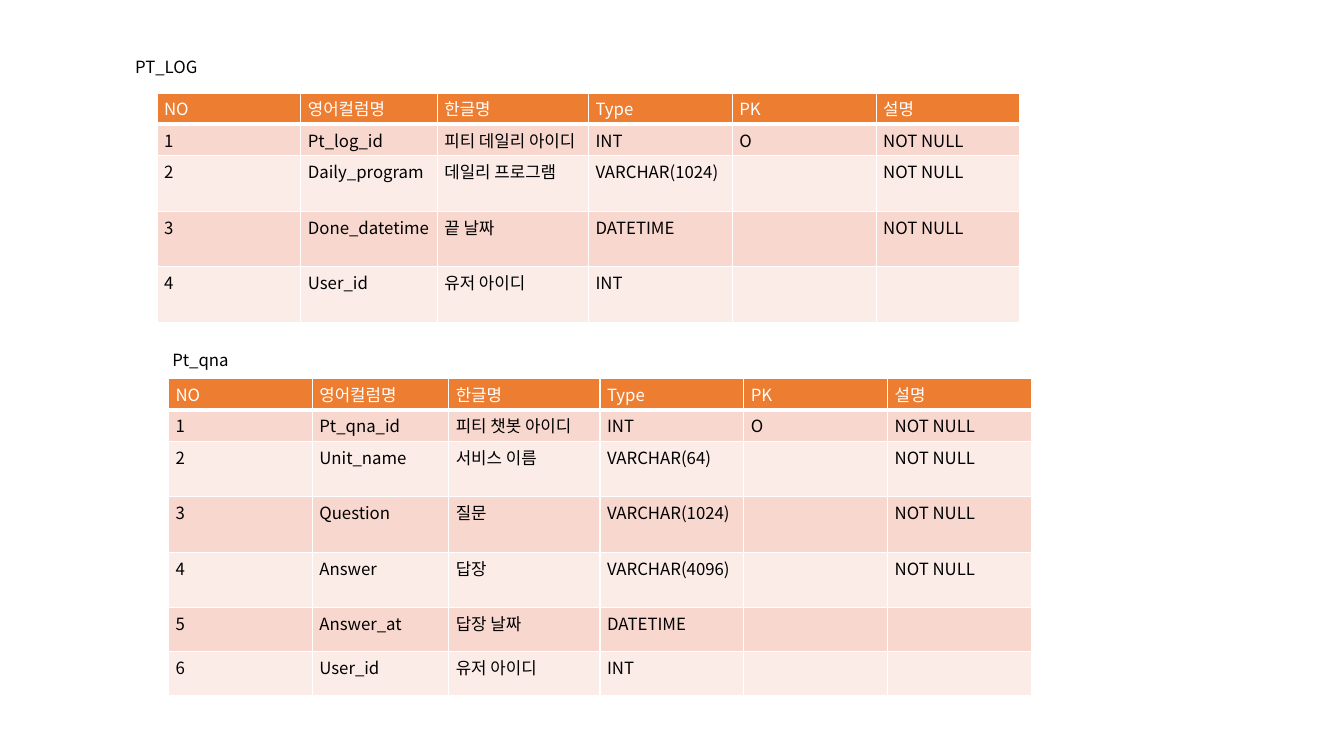
"""Build a slide that defines the columns of two database tables."""
from lxml import etree
from pptx import Presentation
from pptx.dml.color import RGBColor
from pptx.enum.text import MSO_ANCHOR, MSO_AUTO_SIZE, PP_ALIGN
from pptx.oxml.ns import qn
from pptx.util import Pt

LEFT = PP_ALIGN.LEFT
TOP = MSO_ANCHOR.TOP
GROW = MSO_AUTO_SIZE.SHAPE_TO_FIT_TEXT

HEADINGS = ["NO", "영어컬럼명", "한글명", "Type", "PK", "설명"]
COLUMN_WIDTHS = [102.75, 97.5, 108, 102.75, 102.75, 102.75]
REQUIRED = "NOT NULL"

LOG_COLUMNS = [
    ("Pt_log_id", "피티 데일리 아이디", "INT", "O", REQUIRED),
    ("Daily_program", "데일리 프로그램", "VARCHAR(1024)", "", REQUIRED),
    ("Done_datetime", "끝 날짜", "DATETIME", "", REQUIRED),
    ("User_id", "유저 아이디", "INT", "", ""),
]
QNA_COLUMNS = [
    ("Pt_qna_id", "피티 챗봇 아이디", "INT", "O", REQUIRED),
    ("Unit_name", "서비스 이름", "VARCHAR(64)", "", REQUIRED),
    ("Question", "질문", "VARCHAR(1024)", "", REQUIRED),
    ("Answer", "답장", "VARCHAR(4096)", "", REQUIRED),
    ("Answer_at", "답장 날짜", "DATETIME", "", ""),
    ("User_id", "유저 아이디", "INT", "", ""),
]


def color(value):
    return RGBColor.from_string(value)


class SchemaSlide:
    font_name = "Noto Sans CJK KR"
    font_format = {"name": font_name, "size": Pt(12), "bold": False}
    cell_format = {
        "margin_left": Pt(5), "margin_right": Pt(5),
        "margin_top": Pt(2.5), "margin_bottom": Pt(2.5),
        "vertical_anchor": TOP,
    }
    label_format = {"word_wrap": True, "auto_size": GROW}
    black, white = "000000", "FFFFFF"
    header_fill = "ED7D31"
    band_fills = ["FCECE8", "F8D7CE"]

    def __init__(self, slide):
        self.slide = slide

    def apply(self, target, values):
        for name, value in values.items():
            setattr(target, name, value)

    def add_text(self, frame, text, ink):
        paragraph = frame.paragraphs[0]
        paragraph.alignment = LEFT
        run = paragraph.add_run()
        run.text = text
        self.apply(run.font, self.font_format)
        run.font.color.rgb = color(ink)
        properties = run._r.get_or_add_rPr()
        etree.SubElement(properties, qn("a:ea"), typeface=self.font_name)

    def label(self, text, left, top):
        box = self.slide.shapes.add_textbox(Pt(left), Pt(top), Pt(172), Pt(21.8))
        self.apply(box.text_frame, self.label_format)
        self.add_text(box.text_frame, text, self.black)

    def borders(self, cell, bottom):
        properties = cell._tc.get_or_add_tcPr()
        widths = {"lnL": 1, "lnR": 1, "lnT": 1, "lnB": bottom}
        for position, (side, width) in enumerate(widths.items()):
            line = etree.Element(qn(f"a:{side}"), w=str(Pt(width)))
            fill = etree.SubElement(line, qn("a:solidFill"))
            etree.SubElement(fill, qn("a:srgbClr"), val=self.white)
            properties.insert(position, line)

    def cell(self, cell, text, row):
        header = row == 0
        self.apply(cell, self.cell_format)
        cell.fill.solid()
        cell.fill.fore_color.rgb = color(self.header_fill if header else self.band_fills[row % 2])
        self.borders(cell, 3 if header else 1)
        if text:
            self.add_text(cell.text_frame, text, self.white if header else self.black)

    def table(self, columns, left, top, heights):
        rows = [HEADINGS] + [(str(number), *entry) for number, entry in enumerate(columns, 1)]
        frame = self.slide.shapes.add_table(
            len(rows), len(HEADINGS), Pt(left), Pt(top), Pt(sum(COLUMN_WIDTHS)), Pt(sum(heights)))
        grid = frame.table
        for column, width in zip(grid.columns, COLUMN_WIDTHS):
            column.width = Pt(width)
        for index, (texts, height) in enumerate(zip(rows, heights)):
            grid.rows[index].height = Pt(height)
            for position, text in enumerate(texts):
                self.cell(grid.cell(index, position), text, index)


def main():
    deck = Presentation()
    deck.slide_width, deck.slide_height = Pt(960), Pt(540)
    schema = SchemaSlide(deck.slides.add_slide(deck.slide_layouts[6]))
    shared_heights = [22, 22, 39.7, 39.7, 39.7]
    schema.table(LOG_COLUMNS, 112.2, 66.4, shared_heights)
    schema.table(QNA_COLUMNS, 120.4, 270.3, shared_heights + [31.4, 31.4])
    schema.label("PT_LOG", 89.5, 36.7)
    schema.label("Pt_qna", 116, 246.2)
    deck.save("out.pptx")


if __name__ == "__main__":
    main()
